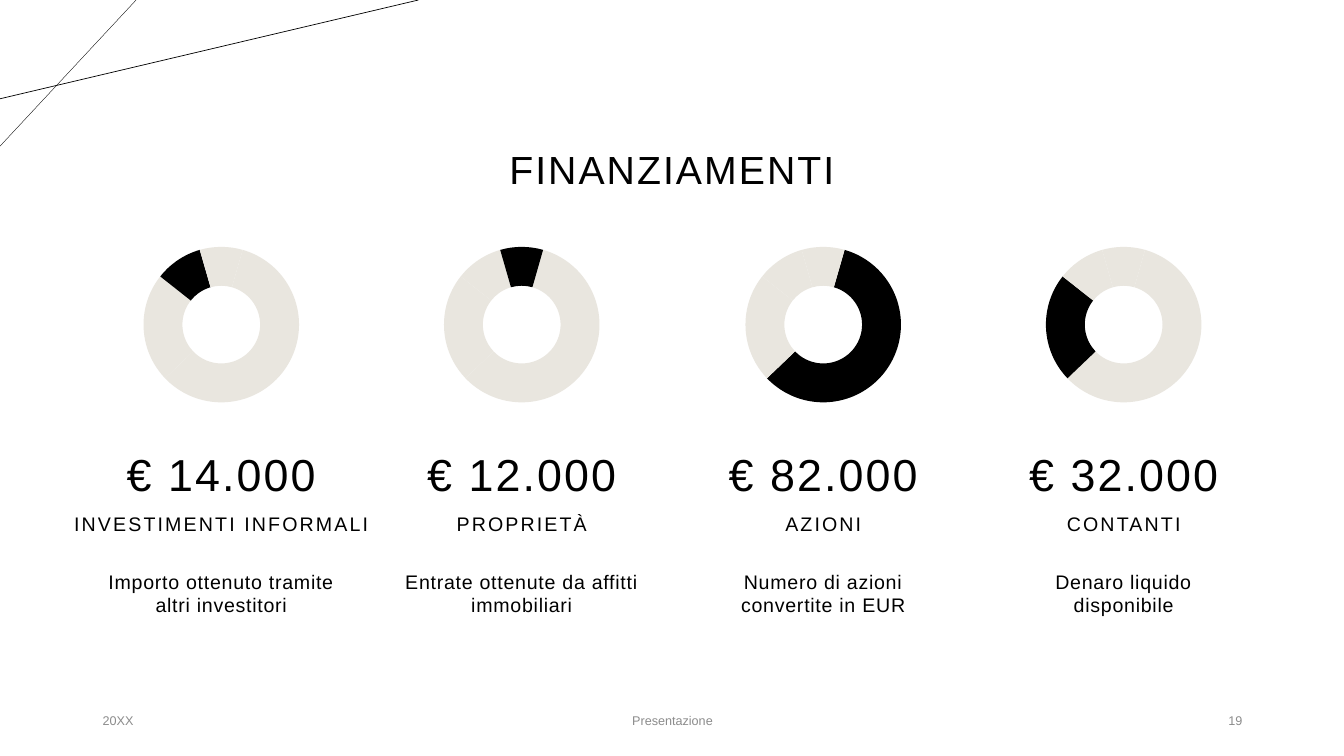
from lxml import etree
from pptx import Presentation
from pptx import util as u
from pptx.chart.data import CategoryChartData
from pptx.dml.color import RGBColor
from pptx.enum import chart as charts, shapes, text
from pptx.oxml import parse_xml
from pptx.oxml.ns import nsdecls, qn

EMU_PER_PX = 9144
FONT = "Arial"
BLACK, SAND, GREY = "000000", "E9E6DF", "8C8C8C"
CENTER = text.PP_ALIGN.CENTER
MIDDLE, BOTTOM, TOP = text.MSO_ANCHOR.MIDDLE, text.MSO_ANCHOR.BOTTOM, text.MSO_ANCHOR.TOP

SHARES = (59, 23, 10, 9)
COLUMN_LEFT, COLUMN_STEP, COLUMN_WIDTH = 92, 298.4, 255
# highlighted slice, amount, label, label width, description
FUNDS = [
    (2, "€ 14.000", "INVESTIMENTI INFORMALI", 341, "Importo ottenuto tramite altri investitori"),
    (3, "€ 12.000", "PROPRIETÀ", 255, "Entrate ottenute da affitti immobiliari"),
    (0, "€ 82.000", "AZIONI", 255, "Numero di azioni convertite in EUR"),
    (1, "€ 32.000", "CONTANTI", 255, "Denaro liquido\vdisponibile"),
]


def px(*lengths):
    return [u.Emu(round(length * EMU_PER_PX)) for length in lengths]


def color(value):
    return RGBColor.from_string(value)


def add_line(page, start, end, width):
    line = page.shapes.add_connector(shapes.MSO_CONNECTOR.STRAIGHT, *px(*start, *end))
    line.line.color.rgb = color(BLACK)
    line.line.width = u.Pt(width)
    etree.SubElement(line._element.spPr, qn("a:effectLst"))


def add_text(page, area, words, size, align=CENTER, anchor=MIDDLE, ink=BLACK,
             side=10, tracking=0, before=0, leading=1.0):
    """Add a one-paragraph text box; tracking is in points, side is the side inset."""
    box = page.shapes.add_textbox(*px(*area))
    frame = box.text_frame
    frame.word_wrap = True
    frame.vertical_anchor = anchor
    frame.margin_left, frame.margin_right = px(side, side)
    frame.margin_top, frame.margin_bottom = px(5, 5)
    para = frame.paragraphs[0]
    para.text = words
    para.alignment = align
    para.line_spacing = leading
    para.space_before = u.Pt(before)
    para.font.name = FONT
    para.font.size = u.Pt(size)
    para.font.color.rgb = color(ink)
    if tracking:
        for span in para.runs:
            span.font._element.set("spc", str(round(tracking * 100))) if hasattr(
                span.font, "_element") else span._r.get_or_add_rPr().set(
                "spc", str(round(tracking * 100)))


def place_plot(chart, **bounds):
    """Fix the inner plot area, given as fractions of the chart."""
    area = chart.element.xpath("c:chart/c:plotArea")[0]
    for layout in area.findall(qn("c:layout")):
        area.remove(layout)
    values = "".join(f'<c:{key} val="{value}"/>' for key, value in bounds.items())
    area.insert(0, parse_xml(
        f'<c:layout {nsdecls("c")}><c:manualLayout><c:layoutTarget val="inner"/>'
        f'<c:xMode val="edge"/><c:yMode val="edge"/>{values}'
        '</c:manualLayout></c:layout>'))


def add_ring(page, area, highlighted):
    data = CategoryChartData()
    data.categories = ["1", "2", "3", "4"]
    data.add_series("Series 1", SHARES)
    chart = page.shapes.add_chart(charts.XL_CHART_TYPE.DOUGHNUT, *px(*area), data).chart
    chart.has_title = False
    chart.has_legend = False
    chart.font.name = FONT
    chart.font.size = u.Pt(10)
    chart.font.color.rgb = color(BLACK)
    chart.plots[0].vary_by_categories = True
    for index in range(len(SHARES)):
        point = chart.plots[0].series[0].points[index]
        point.format.fill.solid()
        point.format.fill.fore_color.rgb = color(BLACK if index == highlighted else SAND)
        point.format.line.fill.background()
    for tag, value in (("firstSliceAng", 16), ("holeSize", 80)):
        chart.element.xpath(f".//c:{tag}")[0].set("val", str(value))
    place_plot(chart, x=0.12, y=0.07, w=0.76, h=0.85)


def add_fund(page, left, highlighted, amount, label, label_width, description):
    add_ring(page, (left + 26, 232, 203, 182), highlighted)
    add_text(page, (left, 414, COLUMN_WIDTH, 88), amount, 32, anchor=BOTTOM,
             side=0, tracking=1.5, before=10, leading=0.9)
    label_left = left + (COLUMN_WIDTH - label_width) // 2
    add_text(page, (label_left, 488, label_width, 48), label, 14, anchor=BOTTOM,
             side=0, tracking=1.5, before=10, leading=0.9)
    add_text(page, (left, 560, COLUMN_WIDTH, 93), description, 14, anchor=TOP,
             side=0, tracking=0.5, before=10)


def main():
    deck = Presentation()
    deck.slide_width, deck.slide_height = u.Inches(13.33), u.Inches(7.5)
    page = deck.slides.add_slide(deck.slide_layouts[6])
    add_line(page, (135, 0), (0, 145), 0.25)
    add_line(page, (415, 0), (0, 98), 0.5)
    add_text(page, (206, 98, 921, 145), "FINANZIAMENTI", 28, tracking=1.5, leading=0.9)
    for index, fund in enumerate(FUNDS):
        add_fund(page, round(COLUMN_LEFT + index * COLUMN_STEP), *fund)
    for left, width, words, align in (
        (92, 300, "20XX", text.PP_ALIGN.LEFT),
        (442, 450, "Presentazione", CENTER),
        (942, 300, "19", text.PP_ALIGN.RIGHT),
    ):
        add_text(page, (left, 695, width, 40), words, 9, align, ink=GREY)
    deck.save("out.pptx")


if __name__ == "__main__":
    main()
